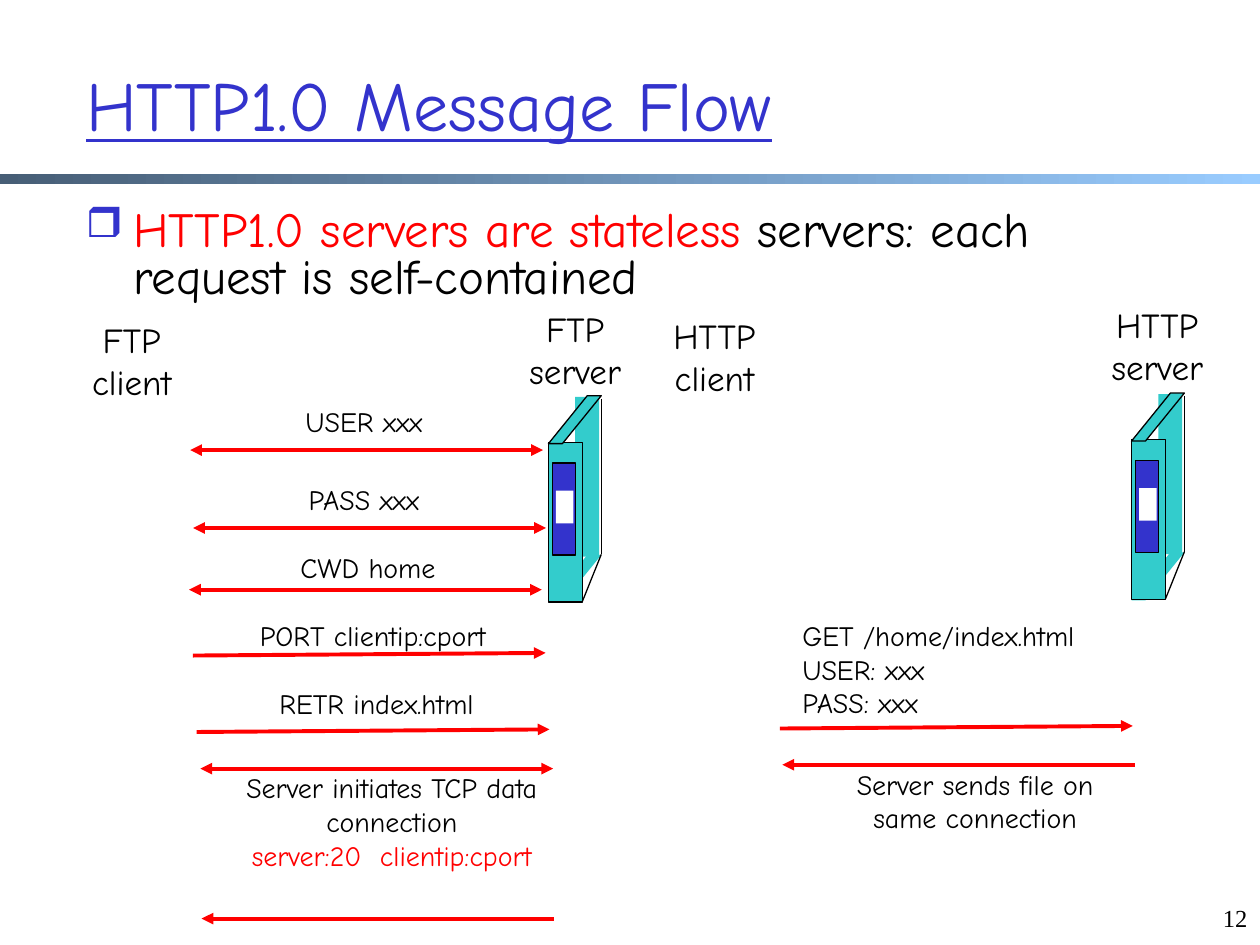
from lxml import etree
from pptx import Presentation
from pptx.dml.color import RGBColor
from pptx.enum.shapes import MSO_CONNECTOR, MSO_SHAPE
from pptx.enum.text import MSO_ANCHOR, MSO_AUTO_SIZE, PP_ALIGN
from pptx.oxml.ns import qn
from pptx.util import Pt

STRAIGHT = MSO_CONNECTOR.STRAIGHT
RECT, SLANT = MSO_SHAPE.RECTANGLE, MSO_SHAPE.PARALLELOGRAM
LEFT, CENTER, RIGHT = PP_ALIGN.LEFT, PP_ALIGN.CENTER, PP_ALIGN.RIGHT
MIDDLE = MSO_ANCHOR.MIDDLE
FIXED, GROW = MSO_AUTO_SIZE.NONE, MSO_AUTO_SIZE.SHAPE_TO_FIT_TEXT

COLORS = {"black": "000000", "white": "FFFFFF", "red": "FF0000", "blue": "3333CC",
          "teal": "33CCCC", "bar_dark": "475E76", "bar_light": "99CCFF"}
FONT, NUMBER_FONT = "Comic Neue", "Times New Roman"

TITLE = "HTTP1.0 Message Flow"
STATEMENT = [("HTTP1.0 servers are stateless", "red"),
             (" servers: each request is self-contained", "black")]
SLIDE_NUMBER = "12"

HOSTS = [
    (["FTP", "client"], 41.8, 178.6, 67),
    (["FTP", "server"], 290.9, 172.1, 75.6),
    (["HTTP", "client"], 374.4, 176.4, 67.7),
    (["HTTP", "server"], 623.5, 169.9, 75.6),
]
MESSAGES = [
    (["USER xxx"], 113, 227.5, CENTER),
    (["PASS xxx"], 113, 272.2, CENTER),
    (["CWD home"], 115.2, 311, CENTER),
    (["PORT clientip:cport"], 118, 350, CENTER),
    (["RETR index.html"], 120.2, 388.8, CENTER),
    (["Server initiates TCP data connection",
      [("server:20  clientip:cport", "red")]], 128.9, 437, CENTER),
    (["GET /home/index.html", "USER: xxx", "PASS: xxx"], 451.4, 350, LEFT),
    (["Server sends file on same connection"], 462.2, 434.9, CENTER),
]
MESSAGE_WIDTH = 190

BOTH, TO_SERVER, TO_CLIENT = ("headEnd", "tailEnd"), ("tailEnd",), ("headEnd",)
ARROW_LENGTH = 201.6
ARROWS = [
    (108.7, 257.2, 0, BOTH),
    (110.4, 301.7, 0, BOTH),
    (108, 337, 0, BOTH),
    (110.2, 374.6, 1.5, TO_SERVER),
    (112.4, 418.3, 1.5, TO_SERVER),
    (114.5, 439.2, 0, BOTH),
    (115.2, 524.9, 0, TO_CLIENT),
    (445.7, 416.3, 1.5, TO_SERVER),
    (447.1, 437, 0, TO_CLIENT),
]

BINDERS = [(313.4, 226.1), (646.6, 224.6)]
BINDER_BACK = [
    (SLANT, 0, 91, 30.2, 27.4, "teal", None),
    (RECT, 15.3, 0.7, 13.7, 91.4, "teal", None),
    (RECT, 0, 26.6, 19.4, 91.4, "teal", "black"),
    (SLANT, 0, 0, 30.2, 27.4, "teal", "black"),
]
BINDER_EDGES = [(30.2, 1.8, 30.2, 90.7), (30.2, 90.7, 19.4, 117.6)]
BINDER_LABEL = [
    (RECT, 2.4, 38.5, 13, 52.6, "blue", "black"),
    (RECT, 4.3, 54.3, 10, 18.7, "white", None),
]


def rgb(color):
    return RGBColor.from_string(COLORS[color])


def write(frame, paragraphs, size, color="black", font=FONT, align=LEFT,
          wrap=True, fit=GROW, underline=None):
    frame.word_wrap = wrap
    frame.auto_size = fit
    for index, content in enumerate(paragraphs):
        paragraph = frame.add_paragraph() if index else frame.paragraphs[0]
        paragraph.alignment = align
        runs = [(content, color)] if isinstance(content, str) else content
        for wording, run_color in runs:
            run = paragraph.add_run()
            run.text = wording
            run.font.size = Pt(size)
            run.font.name = font
            run.font.underline = underline
            run.font.color.rgb = rgb(run_color)


def add_text(slide, paragraphs, left, top, width, height, size, **style):
    box = slide.shapes.add_textbox(Pt(left), Pt(top), Pt(width), Pt(height))
    write(box.text_frame, paragraphs, size, **style)
    return box.text_frame


def add_bullet(paragraph, symbol, color, percent, indent):
    props = paragraph._p.get_or_add_pPr()
    props.set("marL", str(Pt(indent)))
    props.set("indent", str(-Pt(indent)))
    tint = etree.SubElement(props, qn("a:buClr"))
    etree.SubElement(tint, qn("a:srgbClr")).set("val", COLORS[color])
    etree.SubElement(props, qn("a:buSzPct")).set("val", str(percent * 1000))
    etree.SubElement(props, qn("a:buChar")).set("char", symbol)


def add_line(shapes, x1, y1, x2, y2, color, weight, heads=()):
    connector = shapes.add_connector(STRAIGHT, Pt(x1), Pt(y1), Pt(x2), Pt(y2))
    connector.line.color.rgb = rgb(color)
    connector.line.width = Pt(weight)
    props = connector.element.spPr
    for head in heads:
        etree.SubElement(props.find(qn("a:ln")), qn("a:" + head)).set("type", "triangle")
    etree.SubElement(props, qn("a:effectLst"))


def add_part(shapes, kind, left, top, width, height, fill, outline):
    part = shapes.add_shape(kind, Pt(left), Pt(top), Pt(width), Pt(height))
    part.shadow.inherit = False
    if kind == SLANT:
        part.adjustments[0] = 0.81
    part.fill.solid()
    part.fill.fore_color.rgb = rgb(fill)
    if outline:
        part.line.color.rgb = rgb(outline)
        part.line.width = Pt(0.75)
    else:
        part.line.fill.background()


def add_binder(slide, left, top):
    shapes = slide.shapes.add_group_shape().shapes
    for kind, x, y, *rest in BINDER_BACK:
        add_part(shapes, kind, left + x, top + y, *rest)
    for x1, y1, x2, y2 in BINDER_EDGES:
        add_line(shapes, left + x1, top + y1, left + x2, top + y2, "black", 0.75)
    for kind, x, y, *rest in BINDER_LABEL:
        add_part(shapes, kind, left + x, top + y, *rest)


def add_header_bar(slide):
    bar = slide.shapes.add_shape(RECT, 0, Pt(99.4), Pt(720), Pt(5.8))
    bar.shadow.inherit = False
    bar.line.fill.background()
    bar.fill.gradient()
    bar.fill.gradient_angle = 0
    for stop, color in zip(bar.fill.gradient_stops, ("bar_dark", "bar_light")):
        stop.color.rgb = rgb(color)


def main():
    deck = Presentation()
    deck.slide_width, deck.slide_height = Pt(720), Pt(540)
    slide = deck.slides.add_slide(deck.slide_layouts[5])

    add_header_bar(slide)
    title = slide.shapes.title
    title.left, title.top, title.width, title.height = Pt(42), Pt(14.4), Pt(643), Pt(90)
    title.text_frame.vertical_anchor = MIDDLE
    write(title.text_frame, [TITLE], 40, color="blue", fit=FIXED, underline=True)

    statement = add_text(slide, [STATEMENT], 42, 116.6, 638.6, 390, 28, fit=FIXED)
    add_bullet(statement.paragraphs[0], "❒", "blue", 85, 27)
    statement.paragraphs[0].line_spacing = 0.8
    add_text(slide, [SLIDE_NUMBER], 684, 512.6, 36, 36, 14,
             font=NUMBER_FONT, align=RIGHT, fit=FIXED)

    for left, top in BINDERS:
        add_binder(slide, left, top)
    for lines, left, top, width in HOSTS:
        add_text(slide, lines, left, top, width, 55.4, 20, align=CENTER, wrap=False)
    for lines, left, top, align in MESSAGES:
        add_text(slide, lines, left, top, MESSAGE_WIDTH, 26.6, 16, align=align)
    for left, y, rise, heads in ARROWS:
        add_line(slide.shapes, left, y, left + ARROW_LENGTH, y - rise, "red", 2.25, heads)

    deck.save("out.pptx")


if __name__ == "__main__":
    main()
